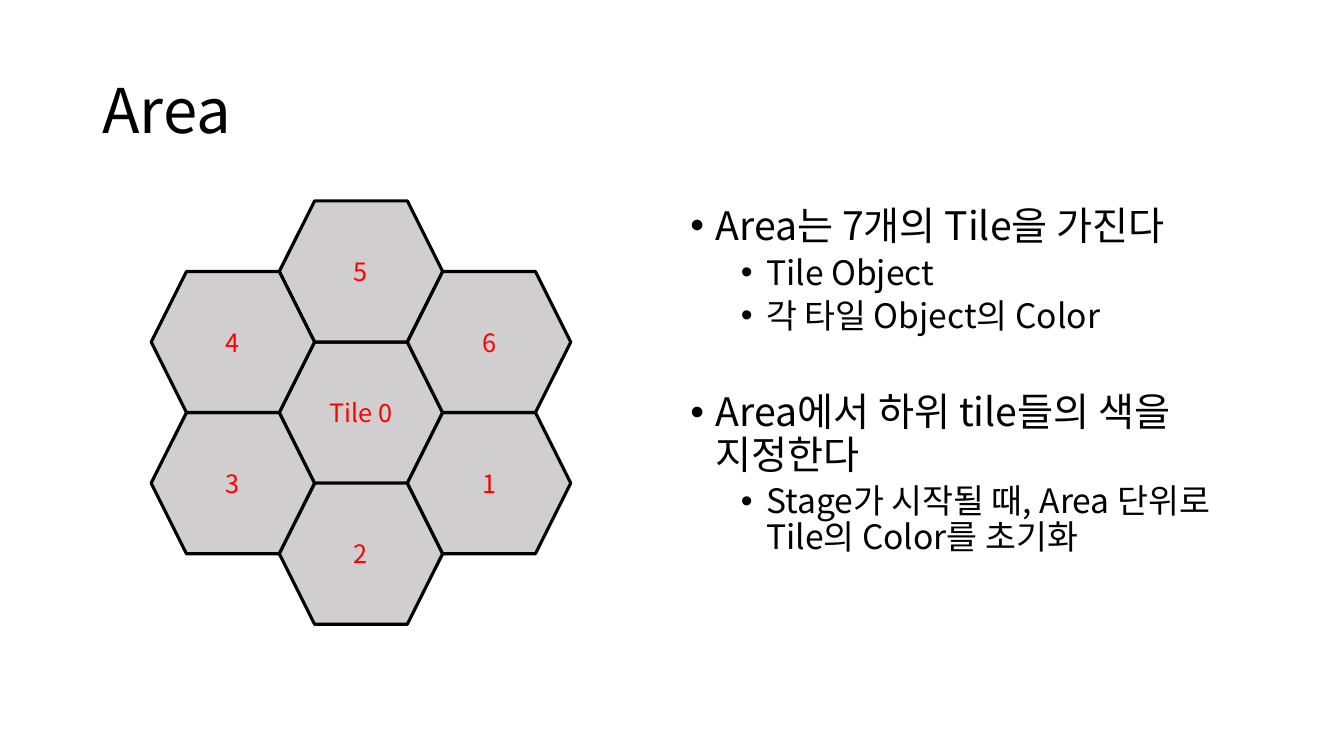
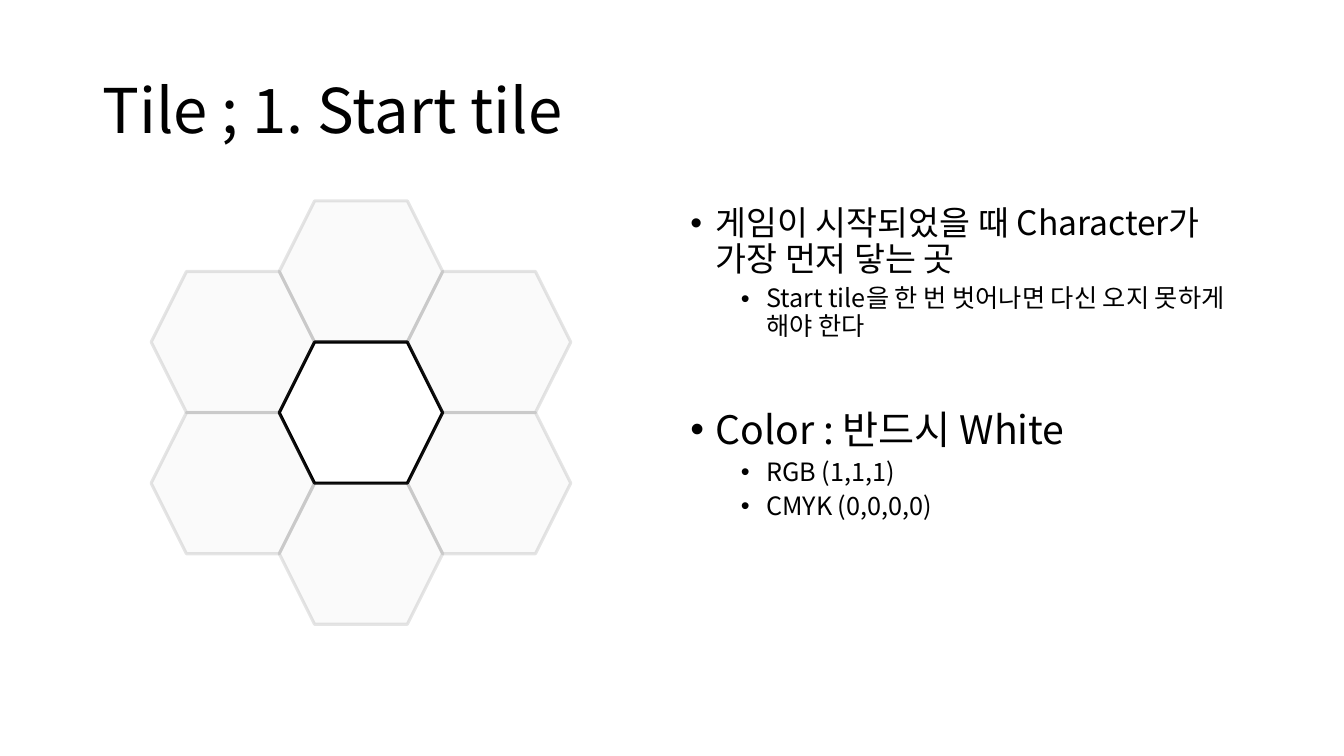
from lxml.etree import SubElement
from pptx import Presentation
from pptx.dml.color import RGBColor
from pptx.enum.shapes import MSO_SHAPE
from pptx.enum.text import MSO_ANCHOR, MSO_AUTO_SIZE, PP_ALIGN
from pptx.oxml.ns import qn
from pptx.util import Inches, Pt

# Shared style
FONT = "Noto Sans CJK KR"
BLACK, WHITE, GRAY, RED = "000000", "FFFFFF", "D0CECE", "FF0000"
COLUMNS, ROWS = 64, 36

# Places and sizes in grid columns and rows
TITLE_BOX = (4.4, 1.92, 55.2, 6.96)
BODY_BOX = (32.4, 9.6, 27.2, 22.85)
CENTER_LEFT, CENTER_TOP = 13.3, 16.29
TILE_WIDTH, TILE_HEIGHT = 7.78, 6.72
STEP_X, STEP_Y = 6.1, TILE_HEIGHT / 2

# Steps from the center tile to each outer tile
RING = {"5": (0, -2), "2": (0, 2), "3": (-1, 1),
        "1": (1, 1), "4": (-1, -1), "6": (1, -1)}


def color(value):
    return RGBColor.from_string(value)


class Deck:
    def __init__(self):
        self.presentation = Presentation()
        self.presentation.slide_width = Inches(13.33)
        self.presentation.slide_height = Inches(7.5)
        self.slide = None

    def box(self, left, top, width, height):
        column = self.presentation.slide_width / COLUMNS
        row = self.presentation.slide_height / ROWS
        return (round(left * column), round(top * row),
                round(width * column), round(height * row))

    def place(self, shape, box):
        shape.left, shape.top, shape.width, shape.height = self.box(*box)

    def run(self, paragraph, text, size, text_color=BLACK):
        run = paragraph.add_run()
        run.text = text
        run.font.size = Pt(size)
        run.font.name = FONT
        run.font.color.rgb = color(text_color)
        SubElement(run.font._element, qn("a:ea"), typeface=FONT)

    def title_slide(self, text):
        layout = self.presentation.slide_layouts[1]
        self.slide = self.presentation.slides.add_slide(layout)
        title = self.slide.shapes.title
        self.place(title, TITLE_BOX)
        title.text_frame.auto_size = MSO_AUTO_SIZE.NONE
        title.text_frame.vertical_anchor = MSO_ANCHOR.MIDDLE
        paragraph = title.text_frame.paragraphs[0]
        paragraph.alignment = PP_ALIGN.LEFT
        paragraph.line_spacing = 0.9
        self.run(paragraph, text, 44)

    def bullets(self, items):
        """Each item is level, size, text and extra space before it."""
        body = self.slide.placeholders[1]
        self.place(body, BODY_BOX)
        frame = body.text_frame
        frame.auto_size = MSO_AUTO_SIZE.NONE
        for index, (level, size, text, extra) in enumerate(items):
            paragraph = frame.add_paragraph() if index else frame.paragraphs[0]
            paragraph.level = level
            paragraph.line_spacing = 0.9
            paragraph.space_before = Pt((5 if level else 10) + extra)
            properties = paragraph._p.get_or_add_pPr()
            properties.set("marL", str(Inches(0.25 + 0.5 * level)))
            properties.set("indent", str(Inches(-0.25)))
            SubElement(properties, qn("a:buFont"), typeface="Arial")
            SubElement(properties, qn("a:buChar"), char="•")
            self.run(paragraph, text, size)

    def tile(self, group, step, fill, label="", opacity=100):
        left = CENTER_LEFT + step[0] * STEP_X
        top = CENTER_TOP + step[1] * STEP_Y
        hexagon = group.shapes.add_shape(
            MSO_SHAPE.HEXAGON, *self.box(left, top, TILE_WIDTH, TILE_HEIGHT))
        hexagon.shadow.inherit = False
        hexagon.fill.solid()
        hexagon.fill.fore_color.rgb = color(fill)
        hexagon.line.color.rgb = color(BLACK)
        hexagon.line.width = Pt(2.25)
        if opacity < 100:
            for tint in hexagon._element.spPr.iter(qn("a:srgbClr")):
                SubElement(tint, qn("a:alpha"), val=str(opacity * 1000))
        if label:
            hexagon.text_frame.vertical_anchor = MSO_ANCHOR.MIDDLE
            paragraph = hexagon.text_frame.paragraphs[0]
            paragraph.alignment = PP_ALIGN.CENTER
            self.run(paragraph, label, 18, RED)

    def area(self, center_fill, center_label="", labeled=False, ring_opacity=100):
        group = self.slide.shapes.add_group_shape()
        self.tile(group, (0, 0), center_fill, center_label)
        for number, step in RING.items():
            self.tile(group, step, GRAY, number if labeled else "", ring_opacity)


deck = Deck()

# Area with its seven numbered tiles
deck.title_slide("Area")
deck.bullets([
    (0, 28, "Area는 7개의 Tile을 가진다", 0),
    (1, 24, "Tile Object", 0),
    (1, 24, "각 타일 Object의 Color", 0),
    (0, 28, "Area에서 하위 tile들의 색을 지정한다", 31),
    (1, 24, "Stage가 시작될 때, Area 단위로 Tile의 Color를 초기화", 0),
])
deck.area(GRAY, "Tile 0", labeled=True)

# Start tile in the middle of a faded area
deck.title_slide("Tile ; 1. Start tile")
deck.bullets([
    (0, 24, "게임이 시작되었을 때 Character가 가장 먼저 닿는 곳", 0),
    (1, 18, "Start tile을 한 번 벗어나면 다신 오지 못하게 해야 한다", 0),
    (0, 28, "Color : 반드시 White", 40),
    (1, 18, "RGB (1,1,1)", 0),
    (1, 18, "CMYK (0,0,0,0)", 0),
])
deck.area(WHITE, ring_opacity=10)

deck.presentation.save("out.pptx")
